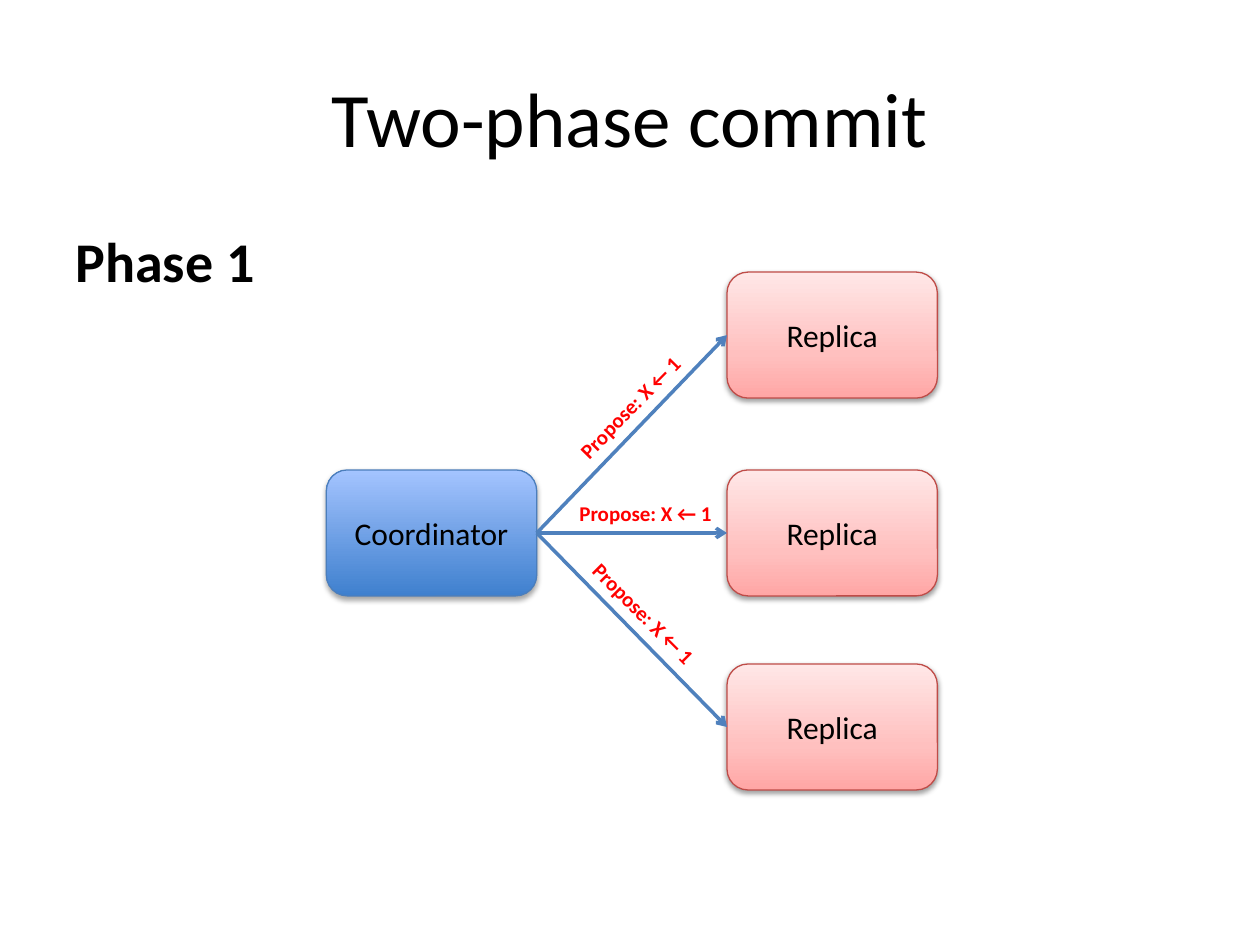
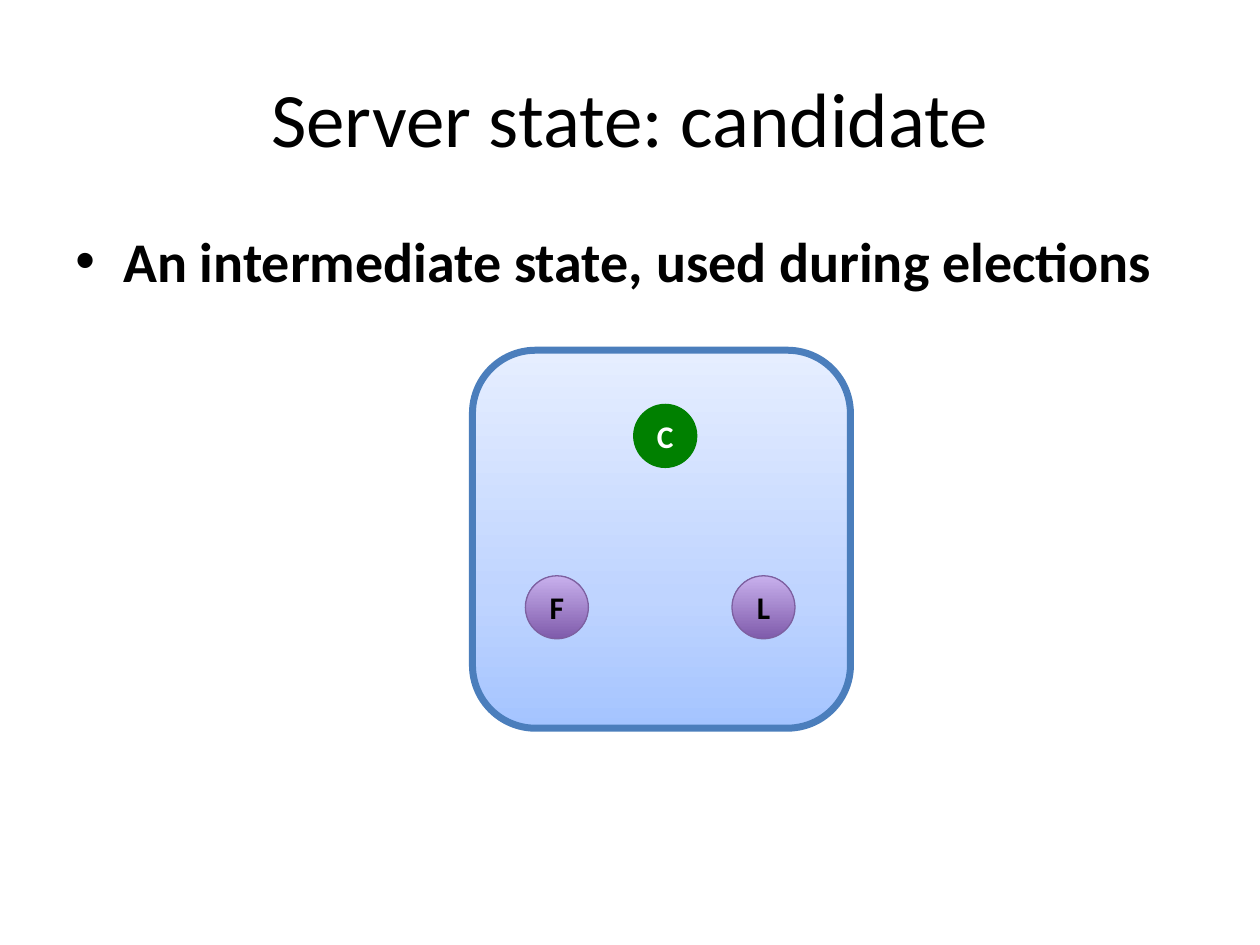
"""Build two slides on consensus: two-phase commit and the candidate state."""
import dataclasses
import typing

import pptx
import pptx.dml.color
import pptx.enum.dml
import pptx.enum.shapes
import pptx.enum.text
import pptx.oxml.ns
import pptx.oxml.xmlchemy
import pptx.util
from lxml import etree

WIDTH, HEIGHT = pptx.util.Inches(10), pptx.util.Inches(7.5)
COLUMN, ROW = WIDTH / 10, HEIGHT / 7.5
FONT = "Calibri"
BLACK, WHITE, RED, GREEN = "000000", "FFFFFF", "FF0000", "008000"
BLUE_EDGE, ARROW_BLUE = "4B7EBC", "4F81BD"
ALIGN = pptx.enum.text.PP_ALIGN
ANCHOR = pptx.enum.text.MSO_ANCHOR
ROUNDED = pptx.enum.shapes.MSO_SHAPE.ROUNDED_RECTANGLE
OVAL = pptx.enum.shapes.MSO_SHAPE.OVAL
RIGHT_SIDE, LEFT_SIDE = 3, 1
HANGING = 0.38


@dataclasses.dataclass(frozen=True)
class Frame:
    """Place and size in grid columns and rows."""
    left: float
    top: float
    width: float
    height: float

    def lengths(self) -> tuple[int, ...]:
        """Return the frame as whole lengths on the slide."""
        return (round(self.left * COLUMN), round(self.top * ROW),
                round(self.width * COLUMN), round(self.height * ROW))


@dataclasses.dataclass(frozen=True)
class Look:
    """Fill stops from bottom to top, edge, and shadow as opacity and distance."""
    stops: tuple[tuple[int, str], ...]
    edge: str
    edge_width: float = 0.75
    shadow: tuple[float, float] | None = None
    ink: str = BLACK


@dataclasses.dataclass(frozen=True)
class Node:
    """A labelled shape of the diagram."""
    label: str
    frame: Frame
    look: Look
    bold: bool = False


@dataclasses.dataclass(frozen=True)
class Message:
    """A label that runs along an arrow."""
    left: float
    top: float
    rotation: float


TITLE = Frame(0.5, 0.3, 9, 1.25)
BODY = Frame(0.5, 1.75, 9, 4.95)

COORDINATOR_LOOK = Look(((0, "3F80CE"), (100, "A4C4FF")), BLUE_EDGE, shadow=(35, 1.8))
REPLICA_LOOK = Look(((0, "FFA6A5"), (35, "FFC0BF"), (100, "FFE7E7")), "BF4C48",
                    shadow=(38, 1.6))
CLUSTER_LOOK = Look(((0, "A4C4FF"), (35, "BFD4FF"), (100, "E6EEFF")), BLUE_EDGE, 4)
IDLE_LOOK = Look(((0, "7F5BAB"), (100, "C8B0ED")), "7D60A0")
ACTIVE_LOOK = Look(((0, GREEN),), GREEN, ink=WHITE)

BOX_WIDTH, BOX_HEIGHT = 1.67, 1
COORDINATOR = Node("Coordinator", Frame(2.59, 3.73, BOX_WIDTH, BOX_HEIGHT),
                   COORDINATOR_LOOK)
REPLICAS = [Node("Replica", Frame(5.77, top, BOX_WIDTH, BOX_HEIGHT), REPLICA_LOOK)
            for top in (2.16, 3.73, 5.27)]
MESSAGES = (Message(4.5, 3.92, 0), Message(4.37, 3.07, 314.5), Message(4.48, 4.73, 45.1))

CLUSTER = Node("", Frame(3.75, 2.78, 3, 3), CLUSTER_LOOK)
SERVERS = [Node(label, Frame(left, top, 0.5, 0.5), look, bold=True)
           for label, left, top, look in (("F", 4.17, 4.57, IDLE_LOOK),
                                          ("L", 5.81, 4.57, IDLE_LOOK),
                                          ("C", 5.03, 3.21, ACTIVE_LOOK))]


def color(value: str) -> pptx.dml.color.RGBColor:
    """Turn a hex string into a colour."""
    return pptx.dml.color.RGBColor.from_string(value)


def child(parent: typing.Any, tag: str, **attributes: object) -> typing.Any:
    """Append a drawing element with the given attributes."""
    values = {name: str(value) for name, value in attributes.items()}
    return etree.SubElement(parent, pptx.oxml.ns.qn(tag), values)


def write(shape: typing.Any, text: str, *, size: float = 18, ink: str = BLACK,
          bold: bool = False, align: ALIGN = ALIGN.CENTER,
          anchor: ANCHOR = ANCHOR.MIDDLE, wrap: bool = False,
          hanging: float = 0, bullet: str = "") -> None:
    """Put one formatted paragraph into a shape."""
    frame = shape.text_frame
    frame.word_wrap = wrap
    frame.vertical_anchor = anchor
    para = frame.paragraphs[0]
    para.alignment = align
    if hanging:
        properties = para._p.get_or_add_pPr()
        indent = round(hanging * COLUMN)
        properties.set("marL", str(indent))
        properties.set("indent", str(-indent))
        if bullet:
            child(properties, "a:buFont", typeface="Arial")
            child(properties, "a:buChar", char=bullet)
        else:
            child(properties, "a:buNone")
    span = para.add_run()
    span.text = text
    span.font.name = FONT
    span.font.size = pptx.util.Pt(size)
    span.font.bold = bold
    span.font.color.rgb = color(ink)


def paint(shape: typing.Any, look: Look) -> None:
    """Give a shape its fill, edge and shadow."""
    shape.shadow.inherit = False
    properties = shape._element.spPr
    if len(look.stops) == 1:
        shape.fill.solid()
        shape.fill.fore_color.rgb = color(look.stops[0][1])
    else:
        shape.fill.gradient()
        shape.fill.gradient_angle = 90
        stops = properties.find(".//" + pptx.oxml.ns.qn("a:gsLst"))
        for stop in list(stops):
            stops.remove(stop)
        for position, value in look.stops:
            child(child(stops, "a:gs", pos=position * 1000), "a:srgbClr", val=value)
    shape.line.color.rgb = color(look.edge)
    shape.line.width = pptx.util.Pt(look.edge_width)
    if look.shadow:
        opacity, distance = look.shadow
        effects = properties.find(pptx.oxml.ns.qn("a:effectLst"))
        shade = child(effects, "a:outerShdw", blurRad=pptx.util.Pt(3.1),
                      dist=pptx.util.Pt(distance), dir=90 * 60000, rotWithShape=0)
        child(child(shade, "a:srgbClr", val=BLACK), "a:alpha", val=opacity * 1000)


def draw_node(shapes: typing.Any, node: Node, outline: typing.Any) -> typing.Any:
    """Draw a node and its label."""
    box = shapes.add_shape(outline, *node.frame.lengths())
    paint(box, node.look)
    if node.label:
        write(box, node.label, ink=node.look.ink, bold=node.bold)
    return box


def draw_arrow(page: typing.Any, source: typing.Any, target: typing.Any) -> None:
    """Join the right side of one box to the left side of another."""
    arrow = page.shapes.add_connector(pptx.enum.shapes.MSO_CONNECTOR.STRAIGHT, 0, 0, 0, 0)
    arrow.begin_connect(source, RIGHT_SIDE)
    arrow.end_connect(target, LEFT_SIDE)
    arrow.line.color.rgb = color(ARROW_BLUE)
    arrow.line.width = pptx.util.Pt(2)
    properties = arrow._element.spPr
    child(properties.find(pptx.oxml.ns.qn("a:ln")), "a:tailEnd", type="arrow")
    child(properties, "a:effectLst")


def draw_message(page: typing.Any, message: Message) -> None:
    """Draw a proposal label along its arrow."""
    frame = Frame(message.left, message.top, 1.28, 0.3)
    box = page.shapes.add_textbox(*frame.lengths())
    box.rotation = message.rotation
    write(box, "Propose: X ← 1", size=12, ink=RED, bold=True, align=ALIGN.LEFT,
          anchor=ANCHOR.TOP)
    box.text_frame.auto_size = pptx.enum.text.MSO_AUTO_SIZE.SHAPE_TO_FIT_TEXT


def add_page(deck: typing.Any, title: str, body: str, bullet: str = "") -> typing.Any:
    """Add a blank slide with a title and one line of body text."""
    page = deck.slides.add_slide(deck.slide_layouts[6])
    write(page.shapes.add_textbox(*TITLE.lengths()), title, size=44, wrap=True)
    write(page.shapes.add_textbox(*BODY.lengths()), body, size=32, bold=True, wrap=True,
          align=ALIGN.LEFT, anchor=ANCHOR.TOP, hanging=HANGING, bullet=bullet)
    return page


def add_commit_page(deck: typing.Any) -> None:
    """Show the coordinator proposing a value to its replicas."""
    page = add_page(deck, "Two-phase commit", "Phase 1")
    coordinator = draw_node(page.shapes, COORDINATOR, ROUNDED)
    replicas = [draw_node(page.shapes, replica, ROUNDED) for replica in REPLICAS]
    for replica in replicas:
        draw_arrow(page, coordinator, replica)
    for message in MESSAGES:
        draw_message(page, message)


def add_candidate_page(deck: typing.Any) -> None:
    """Show the candidate among the server states."""
    page = add_page(deck, "Server state: candidate",
                    "An intermediate state, used during elections", bullet="•")
    group = page.shapes.add_group_shape()
    draw_node(group.shapes, CLUSTER, ROUNDED)
    for server in SERVERS:
        draw_node(group.shapes, server, OVAL)


def main() -> None:
    """Build and save the deck."""
    deck = pptx.Presentation()
    deck.slide_width, deck.slide_height = WIDTH, HEIGHT
    add_commit_page(deck)
    add_candidate_page(deck)
    deck.save("out.pptx")


if __name__ == "__main__":
    main()
